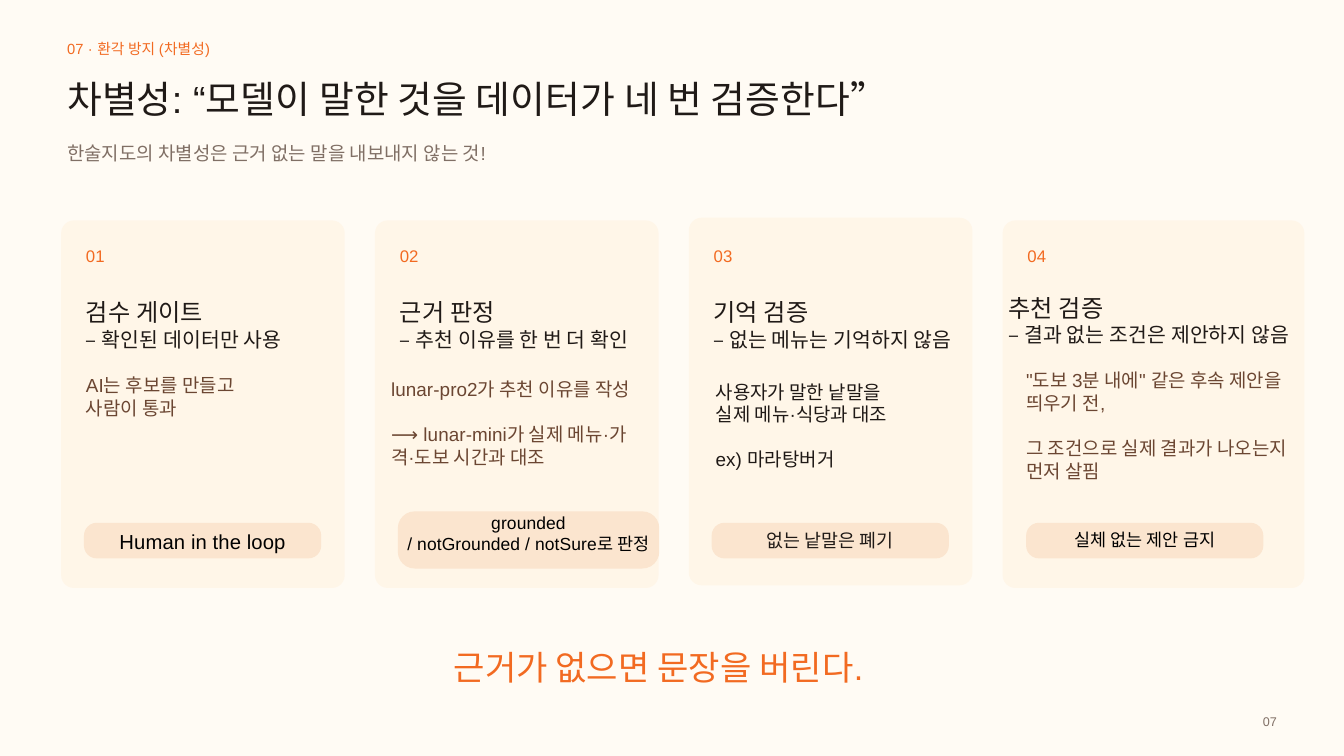
from pptx import Presentation, util as u
from pptx.dml import color
from pptx.enum import shapes, text

INK, DARK, BROWN = "201A17", "1F1916", "6B4632"
ORANGE, GREY, BLACK = "F26A21", "806F65", "000000"
CREAM, PEACH, PAPER = "FFF6E8", "FBE5CF", "FFFBF4"
LEFT, MID, RIGHT = text.PP_ALIGN.LEFT, text.PP_ALIGN.CENTER, text.PP_ALIGN.RIGHT


def paint(fill, tone):
    """Fill with a solid colour given as a hex string."""
    fill.solid()
    fill.fore_color.rgb = color.RGBColor.from_string(tone)


class Deck:
    """Holds the style and the current slide."""

    font, track, lead = "Arial", "10", 1.2

    def __init__(self, wide, high):
        """Open a deck with one blank slide."""
        self.file = Presentation()
        self.file.slide_width, self.file.slide_height = u.Inches(wide), u.Inches(high)
        self.slide = self.file.slides.add_slide(self.file.slide_layouts[6])
        paint(self.slide.background.fill, PAPER)

    def panel(self, box, tone, curve=0.19):
        """Draw a rounded panel."""
        shape = self.slide.shapes.add_shape(
            shapes.MSO_SHAPE.ROUNDED_RECTANGLE, *map(u.Inches, box))
        shape.adjustments[0] = curve / min(box[2:])
        shape.shadow.inherit = False
        shape.line.fill.background()
        paint(shape.fill, tone)

    def words(self, box, lines, tone, align=LEFT):
        """Write lines of (text, size) or (text, size, space before)."""
        frame = self.slide.shapes.add_textbox(*map(u.Inches, box)).text_frame
        frame.word_wrap = True
        frame.margin_left = frame.margin_right = frame.margin_top = frame.margin_bottom = 0
        for i, (line, size, *gap) in enumerate(lines):
            para = frame.add_paragraph() if i else frame.paragraphs[0]
            para.alignment = align
            para.line_spacing = u.Pt(round(size * self.lead, 1))
            if gap:
                para.space_before = u.Pt(gap[0])
            run = para.add_run()
            run.text = line
            run.font.name, run.font.size = self.font, u.Pt(size)
            paint(run.font.fill, tone)
            run.font._element.set("spc", self.track)

    def card(self, num, box, head, title, note, body, lines, tone):
        """Draw a card with its number, heading and body."""
        self.panel(box, CREAM)
        self.words((box[0] + 0.37, 3.66, 0.66, 0.44), [(f"{num:02}", 18)], ORANGE)
        self.words(head, [(title, 25.9), (note, 21.9)], INK)
        self.words(body, [(line, 20.2, *gap) for line, *gap in lines], tone)

    def pill(self, box, lines, size, tone, top, curve=0.19):
        """Draw a pill with centred text that starts at top."""
        self.panel(box, PEACH, curve)
        self.words((box[0], top, box[2], 0.35), [(line, size) for line in lines], tone, MID)


def main():
    """Build the slide."""
    deck = Deck(20, 11.25)
    deck.words((1, 0.59, 12.19, 0.26), [("07 · 환각 방지 (차별성)", 15.8)], ORANGE)
    deck.words((1, 1.12, 17.5, 0.67),
               [("차별성: “모델이 말한 것을 데이터가 네 번 검증한다”", 40.5)], INK)
    deck.words((1, 2.11, 17.5, 0.33),
               [("한술지도의 차별성은 근거 없는 말을 내보내지 않는 것!", 20.2)], GREY)

    gap = 24.3
    cards = [
        (3.28, 4.22, (1.28, 4.43, 3.44, 0.8), "검수 게이트", "– 확인된 데이터만 사용",
         (1.28, 5.56, 3.44, 1), [("AI는 후보를 만들고",), ("사람이 통과",)], BROWN),
        (3.28, 4.22, (5.95, 4.43, 3.67, 0.8), "근거 판정", "– 추천 이유를 한 번 더 확인",
         (5.82, 5.62, 3.8, 1.33),
         [("lunar-pro2가 추천 이유를 작성",),
          ("⟶ lunar-mini가 실제 메뉴·가격·도보 시간과 대조", gap)], BROWN),
        (3.24, 4.22, (10.62, 4.43, 3.67, 0.8), "기억 검증", "– 없는 메뉴는 기억하지 않음",
         (10.65, 5.66, 3.44, 1.33),
         [("사용자가 말한 낱말을",), ("실제 메뉴·식당과 대조",), ("ex) 마라탕버거", gap)], DARK),
        (3.28, 4.49, (15.01, 4.36, 4.3, 0.8), "추천 검증", "– 결과 없는 조건은 제안하지 않음",
         (15.27, 5.49, 4.04, 2),
         [('"도보 3분 내에" 같은 후속 제안을 띄우기 전,',),
          ("그 조건으로 실제 결과가 나오는지 먼저 살핌", gap)], BROWN),
    ]
    for i, (top, wide, *rest) in enumerate(cards):
        deck.card(i + 1, (0.91 + 4.67 * i, top, wide, 5.47), *rest)

    for left, line, size, tone in [
        (1.25, "Human in the loop", 21.7, BLACK),
        (10.59, "없는 낱말은 폐기", 19.7, DARK),
        (15.27, "실체 없는 제안 금지", 18.7, BLACK),
    ]:
        deck.pill((left, 7.78, 3.53, 0.53), [line], size, tone, 7.88)
    deck.pill((5.92, 7.61, 3.89, 0.85), ["grounded", "/ notGrounded / notSure로 판정"],
              18.7, BLACK, 7.62, 0.25)

    deck.words((1.05, 9.62, 17.5, 0.6), [("근거가 없으면 문장을 버린다.", 36.5)], ORANGE, MID)
    deck.words((18.44, 10.62, 0.56, 0.28), [("07", 13.5)], GREY, RIGHT)
    deck.file.save("out.pptx")


if __name__ == "__main__":
    main()
